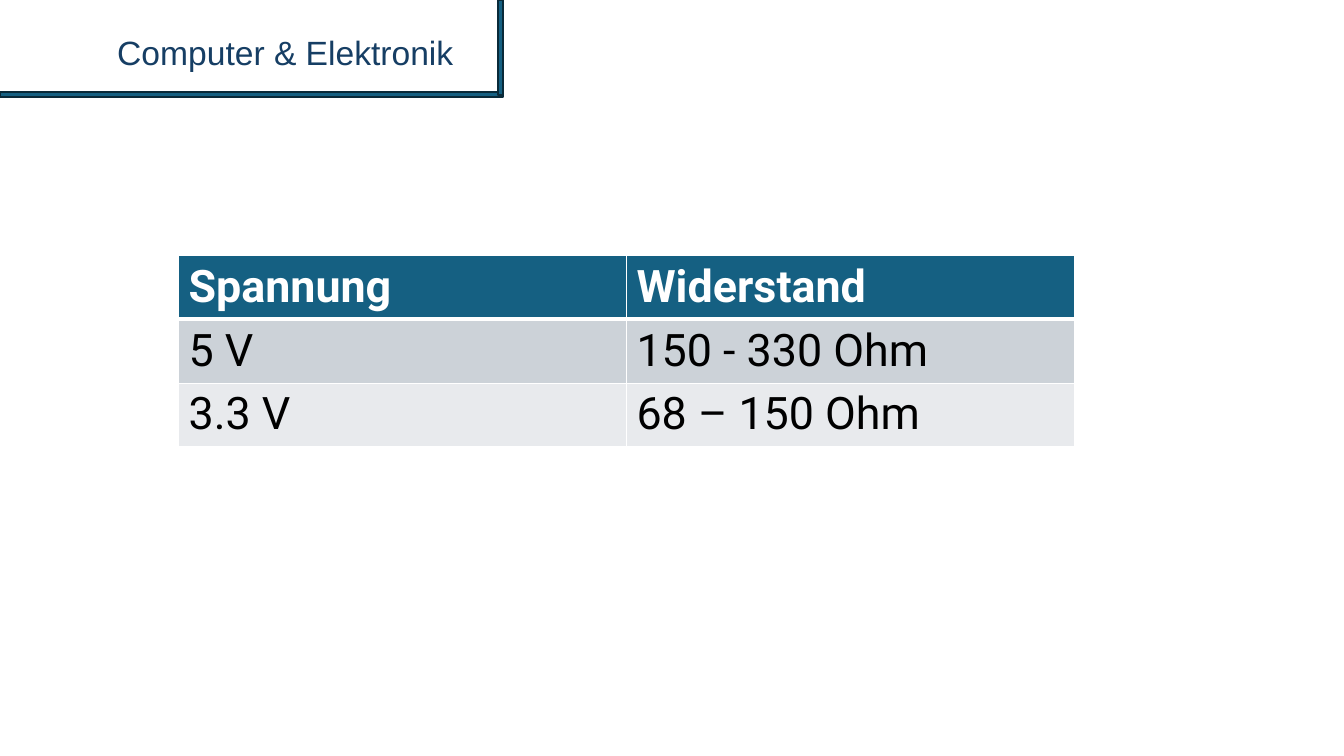
import pptx
import pptx.dml.color
import pptx.enum.shapes
import pptx.enum.text
import pptx.oxml
import pptx.oxml.ns
import pptx.util

COLORS = {
    "white": "FFFFFF",
    "black": "000000",
    "navy": "163E64",
    "teal": "156082",
    "dark_teal": "092A39",
    "band_dark": "CCD2D8",
    "band_light": "E8EAED",
}
RESISTORS = [
    ("Spannung", "Widerstand"),
    ("5 V", "150 - 330 Ohm"),
    ("3.3 V", "68 – 150 Ohm"),
]
ROW_FILLS = ["teal", "band_dark", "band_light"]


def points(*values):
    return [pptx.util.Pt(value) for value in values]


def color(name):
    return pptx.dml.color.RGBColor.from_string(COLORS[name])


def write_text(frame, text, font, size, ink, bold=False):
    para = frame.paragraphs[0]
    para.alignment = pptx.enum.text.PP_ALIGN.LEFT
    span = para.add_run()
    span.text = text
    span.font.name = font
    span.font.size = pptx.util.Pt(size)
    span.font.bold = bold
    span.font.color.rgb = color(ink)


class SlideBuilder:
    title_font = "Arial"
    table_font = "Roboto"

    def __init__(self, page):
        self.page = page

    def title(self, text, left, top, width, height):
        box = self.page.shapes.title
        box.left, box.top, box.width, box.height = points(left, top, width, height)
        frame = box.text_frame
        frame.word_wrap = True
        frame.auto_size = pptx.enum.text.MSO_AUTO_SIZE.NONE
        frame.vertical_anchor = pptx.enum.text.MSO_ANCHOR.TOP
        write_text(frame, text, font=self.title_font, size=24, ink="navy")

    def bar(self, left, top, width, height):
        box = self.page.shapes.add_shape(
            pptx.enum.shapes.MSO_SHAPE.RECTANGLE, *points(left, top, width, height))
        box.shadow.inherit = False
        box.fill.solid()
        box.fill.fore_color.rgb = color("teal")
        box.line.color.rgb = color("dark_teal")
        box.line.width = pptx.util.Pt(1.5)

    def borders(self, cell, bottom, top):
        properties = cell._tc.get_or_add_tcPr()
        widths = {"lnL": 1, "lnR": 1, "lnT": top, "lnB": bottom}
        for index, (side, width) in enumerate(widths.items()):
            properties.insert(index, pptx.oxml.parse_xml(
                f'<a:{side} {pptx.oxml.ns.nsdecls("a")} w="{pptx.util.Pt(width)}">'
                f'<a:solidFill><a:srgbClr val="{COLORS["white"]}"/></a:solidFill>'
                f'</a:{side}>'))

    def table(self, rows, left, top, width, height):
        grid = self.page.shapes.add_table(
            len(rows), len(rows[0]), *points(left, top, width, height)).table
        for row_index, row in enumerate(rows):
            header = row_index == 0
            for column_index, text in enumerate(row):
                cell = grid.cell(row_index, column_index)
                cell.fill.solid()
                cell.fill.fore_color.rgb = color(ROW_FILLS[row_index])
                write_text(cell.text_frame, text, font=self.table_font, size=32,
                           ink="white" if header else "black", bold=header)
                self.borders(cell, bottom=3 if header else 1,
                             top=3 if row_index == 1 else 1)


def main():
    deck = pptx.Presentation()
    deck.slide_width, deck.slide_height = points(960, 540)
    builder = SlideBuilder(deck.slides.add_slide(deck.slide_layouts[5]))
    builder.title("Computer & Elektronik", 76.5, 19.5, 305, 36)
    builder.bar(0, 65.5, 359, 3.6)
    builder.bar(355.7, 0, 3.6, 67.7)
    builder.table(RESISTORS, 127.5, 182.5, 640, 136.8)
    deck.save("out.pptx")


if __name__ == "__main__":
    main()
